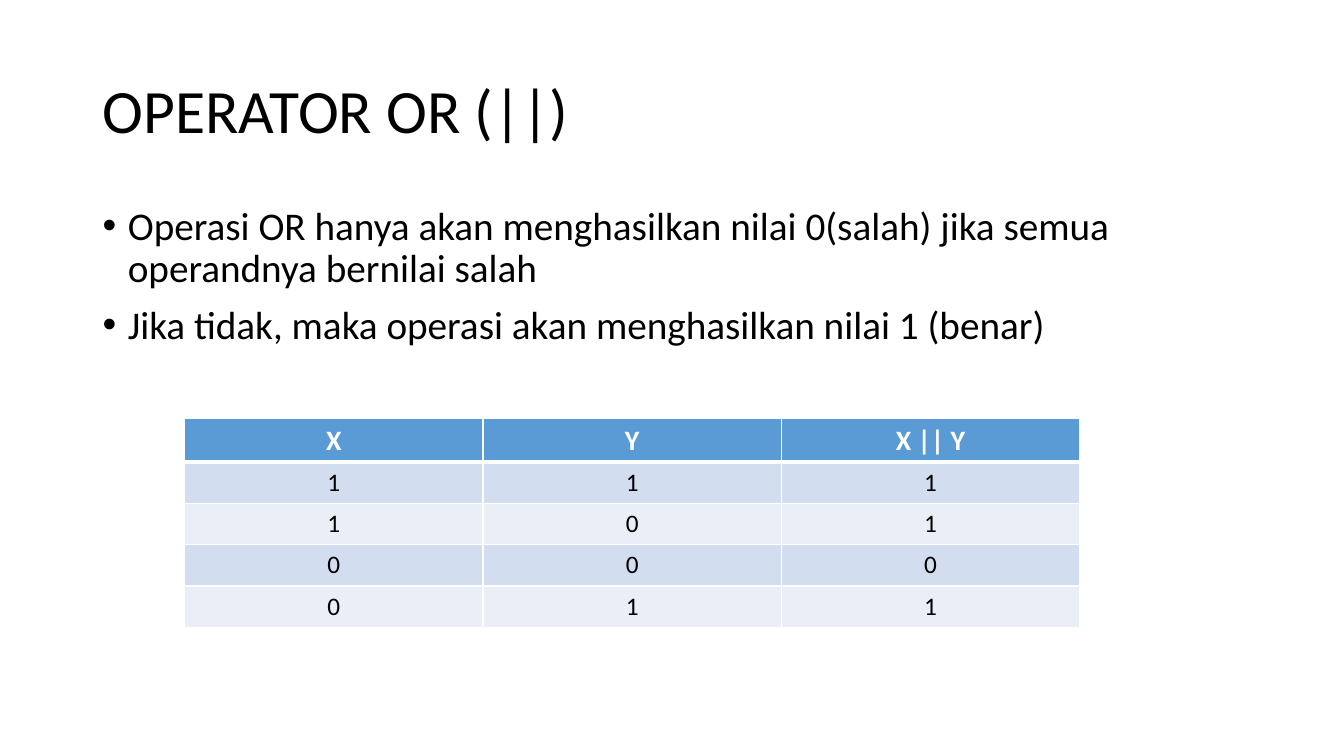
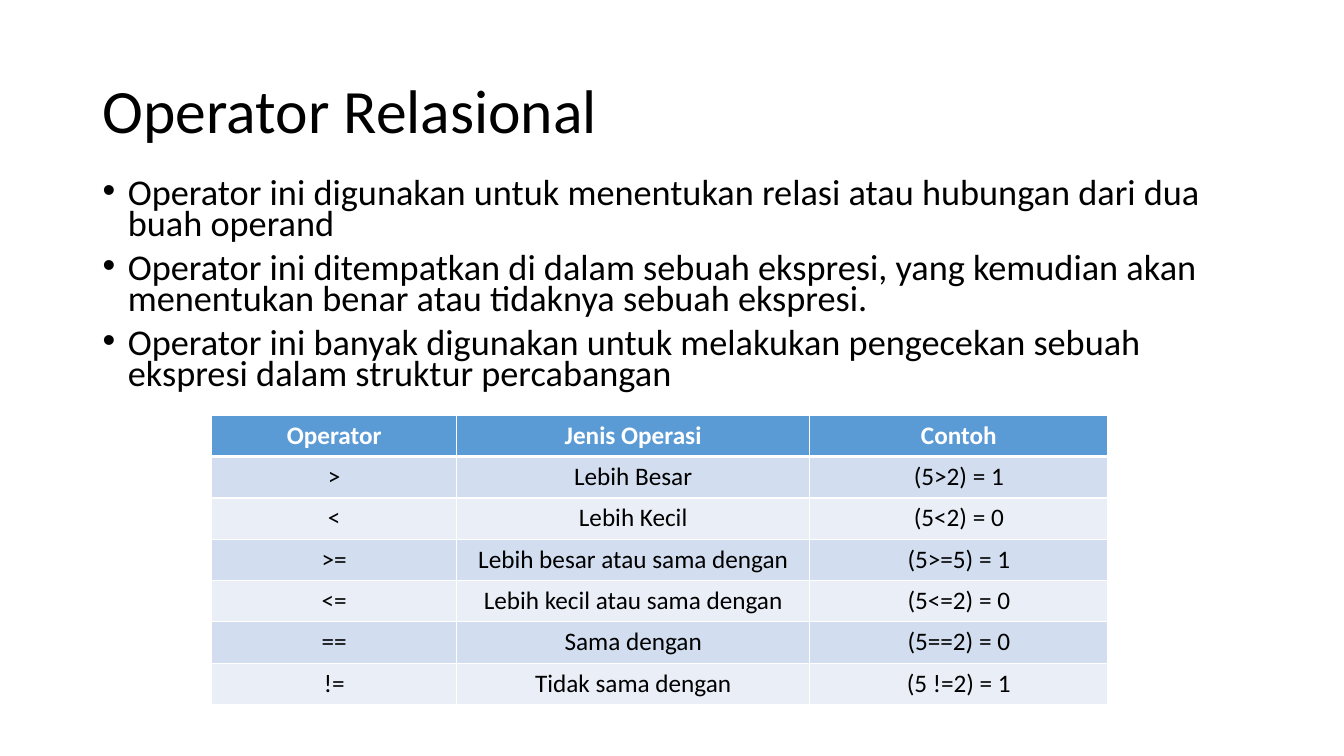
from dataclasses import dataclass

from lxml.etree import SubElement
from pptx import Presentation
from pptx.dml.color import RGBColor
from pptx.enum.text import MSO_ANCHOR, MSO_AUTO_SIZE, PP_ALIGN
from pptx.oxml.ns import qn
from pptx.util import Inches, Pt


@dataclass(frozen=True)
class Theme:
    """Colours, font and sizes shared by the slides."""

    font: str = "Calibri"
    text: str = "000000"
    light: str = "FFFFFF"
    header: str = "5B9BD5"
    bands: tuple = ("D2DEEF", "EAEFF7")
    title_size: float = 44
    cell_size: float = 18
    thin: float = 1
    thick: float = 3


@dataclass(frozen=True)
class Box:
    """A rectangle in inches."""

    left: float
    top: float
    width: float
    height: float

    def lengths(self):
        """Return the four measures as slide lengths."""
        return [Inches(value) for value in (self.left, self.top, self.width, self.height)]


THEME = Theme()
TITLE_BOX = Box(0.92, 0.4, 11.5, 1.45)
ROW_HEIGHT = 0.41


def style_font(paragraph, size, color=THEME.text, bold=False):
    """Set the font of a whole paragraph."""
    font = paragraph.font
    font.name = THEME.font
    font.size = Pt(size)
    font.bold = bold
    font.color.rgb = RGBColor.from_string(color)


def add_title(slide, box, text):
    """Place and format the title placeholder."""
    title = slide.shapes.title
    title.left, title.top, title.width, title.height = box.lengths()
    frame = title.text_frame
    frame.text = text
    frame.word_wrap = True
    frame.auto_size = MSO_AUTO_SIZE.NONE
    frame.vertical_anchor = MSO_ANCHOR.MIDDLE
    paragraph = frame.paragraphs[0]
    paragraph.alignment = PP_ALIGN.LEFT
    paragraph.line_spacing = 0.9
    style_font(paragraph, THEME.title_size)


def add_bullets(slide, box, items, size, line_spacing):
    """Add a bulleted list with hanging indents."""
    frame = slide.shapes.add_textbox(*box.lengths()).text_frame
    frame.word_wrap = True
    frame.text = "\n".join(items)
    for paragraph in frame.paragraphs:
        paragraph.line_spacing = line_spacing
        paragraph.space_before = Pt(10)
        properties = paragraph._p.get_or_add_pPr()
        properties.set("marL", str(Inches(0.25)))
        properties.set("indent", str(Inches(-0.25)))
        SubElement(properties, qn("a:buFont"), typeface="Arial")
        SubElement(properties, qn("a:buChar"), char="•")
        style_font(paragraph, size)


def set_borders(cell, top, bottom):
    """Draw the four borders of a cell, with widths in points."""
    properties = cell._tc.get_or_add_tcPr()
    widths = {"L": THEME.thin, "R": THEME.thin, "T": top, "B": bottom}
    for side, width in widths.items():
        line = SubElement(properties, qn(f"a:ln{side}"), w=str(Pt(width)))
        fill = SubElement(line, qn("a:solidFill"))
        SubElement(fill, qn("a:srgbClr"), val=THEME.light)


def format_cell(cell, text, row_index, header_size):
    """Fill one cell according to its row."""
    is_header = row_index == 0
    set_borders(
        cell,
        top=THEME.thick if row_index == 1 else THEME.thin,
        bottom=THEME.thick if is_header else THEME.thin,
    )
    cell.fill.solid()
    fill = THEME.header if is_header else THEME.bands[(row_index - 1) % 2]
    cell.fill.fore_color.rgb = RGBColor.from_string(fill)
    cell.text = text
    paragraph = cell.text_frame.paragraphs[0]
    paragraph.alignment = PP_ALIGN.CENTER
    if is_header:
        style_font(paragraph, header_size, THEME.light, bold=True)
    else:
        style_font(paragraph, THEME.cell_size)


def add_grid(slide, left, top, column_widths, rows, header_size):
    """Add a banded table with a header row."""
    box = Box(left, top, sum(column_widths), ROW_HEIGHT * len(rows))
    table = slide.shapes.add_table(len(rows), len(column_widths), *box.lengths()).table
    table.horz_banding = False
    for column, width in zip(table.columns, column_widths):
        column.width = Inches(width)
    for row_index, values in enumerate(rows):
        table.rows[row_index].height = Inches(ROW_HEIGHT)
        for column_index, text in enumerate(values):
            format_cell(table.cell(row_index, column_index), text, row_index, header_size)


def add_titled_slide(presentation, title):
    """Add a title-only slide with the shared title style."""
    slide = presentation.slides.add_slide(presentation.slide_layouts[5])
    add_title(slide, TITLE_BOX, title)
    return slide


def build_or_slide(presentation):
    """Build the slide on the OR operator."""
    slide = add_titled_slide(presentation, "OPERATOR OR (||)")
    bullets = [
        "Operasi OR hanya akan menghasilkan nilai 0(salah) jika semua operandnya bernilai salah",
        "Jika tidak, maka operasi akan menghasilkan nilai 1 (benar)",
    ]
    add_bullets(slide, Box(0.92, 2, 11.5, 4.76), bullets, size=28, line_spacing=0.9)
    rows = [("X", "Y", "X || Y"), "111", "101", "000", "011"]
    add_grid(slide, 1.83, 4.15, [2.96] * 3, rows, header_size=20)


def build_relational_slide(presentation):
    """Build the slide on relational operators."""
    slide = add_titled_slide(presentation, "Operator Relasional")
    bullets = [
        "Operator ini digunakan untuk menentukan relasi atau hubungan dari dua buah operand",
        "Operator ini ditempatkan di dalam sebuah ekspresi, yang kemudian akan menentukan "
        "benar atau tidaknya sebuah ekspresi.",
        "Operator ini banyak digunakan untuk melakukan pengecekan sebuah ekspresi dalam "
        "struktur percabangan",
    ]
    add_bullets(slide, Box(0.92, 1.75, 11.5, 2.44), bullets, size=25.9, line_spacing=0.7)
    rows = [
        ("Operator", "Jenis Operasi", "Contoh"),
        (">", "Lebih Besar", "(5>2) = 1"),
        ("<", "Lebih Kecil", "(5<2) = 0"),
        (">=", "Lebih besar atau sama dengan", "(5>=5) = 1"),
        ("<=", "Lebih kecil atau sama dengan", "(5<=2) = 0"),
        ("==", "Sama dengan", "(5==2) = 0"),
        ("!=", "Tidak sama dengan", "(5 !=2) = 1"),
    ]
    add_grid(slide, 2.1, 4.12, [2.43, 3.5, 2.96], rows, header_size=THEME.cell_size)


def main():
    """Build and save the presentation."""
    presentation = Presentation()
    presentation.slide_width = Inches(13.33)
    presentation.slide_height = Inches(7.5)
    build_or_slide(presentation)
    build_relational_slide(presentation)
    presentation.save("out.pptx")


if __name__ == "__main__":
    main()
